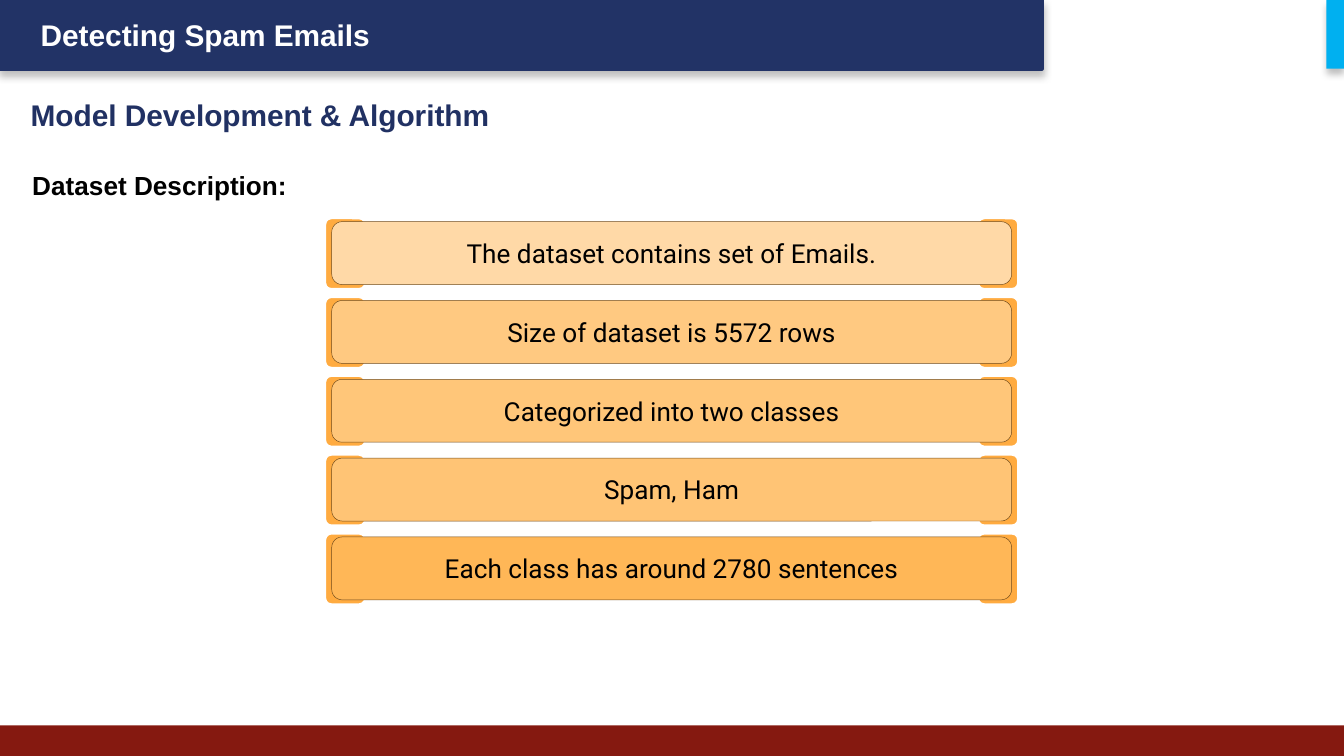
from lxml.etree import SubElement
from pptx import Presentation
from pptx.dml.color import RGBColor
from pptx.enum.shapes import MSO_SHAPE as Shape
from pptx.enum.text import MSO_ANCHOR as Anchor, PP_ALIGN as Align
from pptx.oxml.ns import qn
from pptx.util import Cm, Pt

NAVY = "223366"
FACTS = [
    ("The dataset contains set of Emails.", "FFD9A7"),
    ("Size of dataset is 5572 rows", "FFC981"),
    ("Categorized into two classes", "FFC679"),
    ("Spam, Ham", "FFC475"),
    ("Each class has around 2780 sentences", "FFB757"),
]
FIRST_TOP, ROW_PITCH = 4.19, 1.49


def color(value):
    return RGBColor.from_string(value)


def write(frame, text, size=14, font="Arial", ink="000000", bold=False,
          align=Align.LEFT, anchor=Anchor.TOP, after=0):
    frame.word_wrap = True
    frame.vertical_anchor = anchor
    paragraph = frame.paragraphs[0]
    paragraph.alignment = align
    paragraph.space_after = Pt(after)
    run = paragraph.add_run()
    run.text = text
    run.font.size = Pt(size)
    run.font.name = font
    run.font.bold = bold
    run.font.color.rgb = color(ink)


def add_block(slide, left, top, width, height, fill, kind=Shape.RECTANGLE,
              line=None, weight=2):
    block = slide.shapes.add_shape(kind, Cm(left), Cm(top), Cm(width), Cm(height))
    block.shadow.inherit = False
    block.fill.solid()
    block.fill.fore_color.rgb = color(fill)
    if line:
        block.line.color.rgb = color(line)
        block.line.width = Pt(weight)
    else:
        block.line.fill.background()
    return block


def drop_shadow(block):
    effects = block._element.spPr.find(qn("a:effectLst"))
    shadow = SubElement(effects, qn("a:outerShdw"), blurRad=str(Pt(4)),
                        dist=str(Pt(3)), dir="5400000", algn="t", rotWithShape="0")
    black = SubElement(shadow, qn("a:srgbClr"), val="000000")
    SubElement(black, qn("a:alpha"), val="25000")


def add_heading(slide, left, top, width, height, text, indent=0.25, inset=0.25, **style):
    heading = slide.shapes.add_textbox(Cm(left), Cm(top), Cm(width), Cm(height))
    frame = heading.text_frame
    frame.margin_left = Cm(indent)
    frame.margin_top = frame.margin_bottom = Cm(inset)
    write(frame, text, bold=True, **style)


def add_fact(slide, top, text, fill):
    for tab_left in (18.47, 6.13):
        add_block(slide, tab_left, top - 0.08, 0.79, 1.37, "FFAB40",
                  Shape.ROUNDED_RECTANGLE, "FFFFFF")
    bar = add_block(slide, 6.27, top, 12.85, 1.19, fill,
                    Shape.ROUNDED_RECTANGLE, "704B1C", 0.25)
    write(bar.text_frame, text, font="Roboto", align=Align.CENTER, anchor=Anchor.MIDDLE)


def main():
    deck = Presentation()
    deck.slide_width, deck.slide_height = Cm(25.4), Cm(14.29)
    slide = deck.slides.add_slide(deck.slide_layouts[6])

    drop_shadow(add_block(slide, 0, 0, 19.69, 1.3, NAVY, line=NAVY))
    add_block(slide, 0, 13.71, 25.4, 0.58, "851910")
    drop_shadow(add_block(slide, 25.07, 0, 0.33, 1.3, "00B0F0"))

    add_heading(slide, 0.36, 0.18, 10.8, 0.94, "Detecting Spam Emails",
                indent=0.41, inset=0.13, size=16, ink="FFFFFF")
    add_heading(slide, 0.33, 1.57, 12.37, 1.19, "Model Development & Algorithm",
                size=16, ink="213163")
    add_heading(slide, 0.36, 2.95, 12.19, 1.07, "Dataset Description:", after=8)

    for row, (text, fill) in enumerate(FACTS):
        add_fact(slide, FIRST_TOP + row * ROW_PITCH, text, fill)

    deck.save("out.pptx")


if __name__ == "__main__":
    main()
